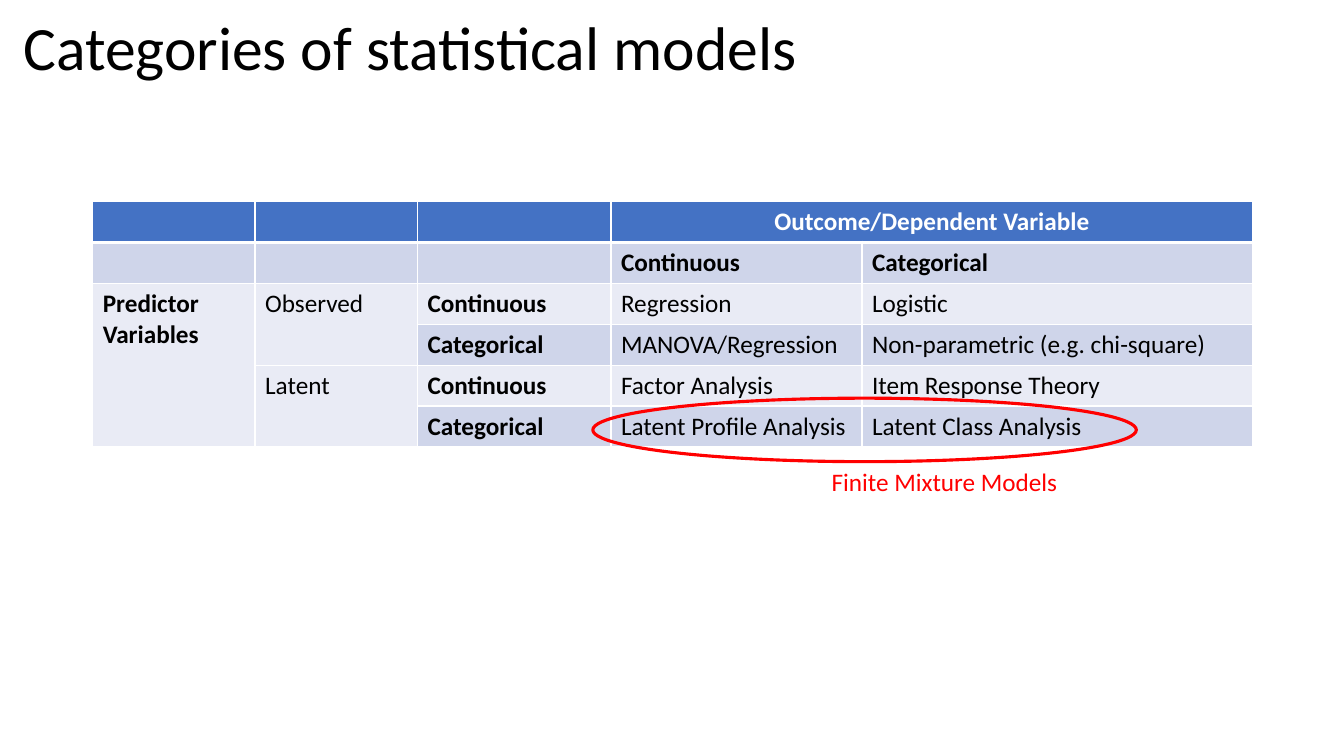
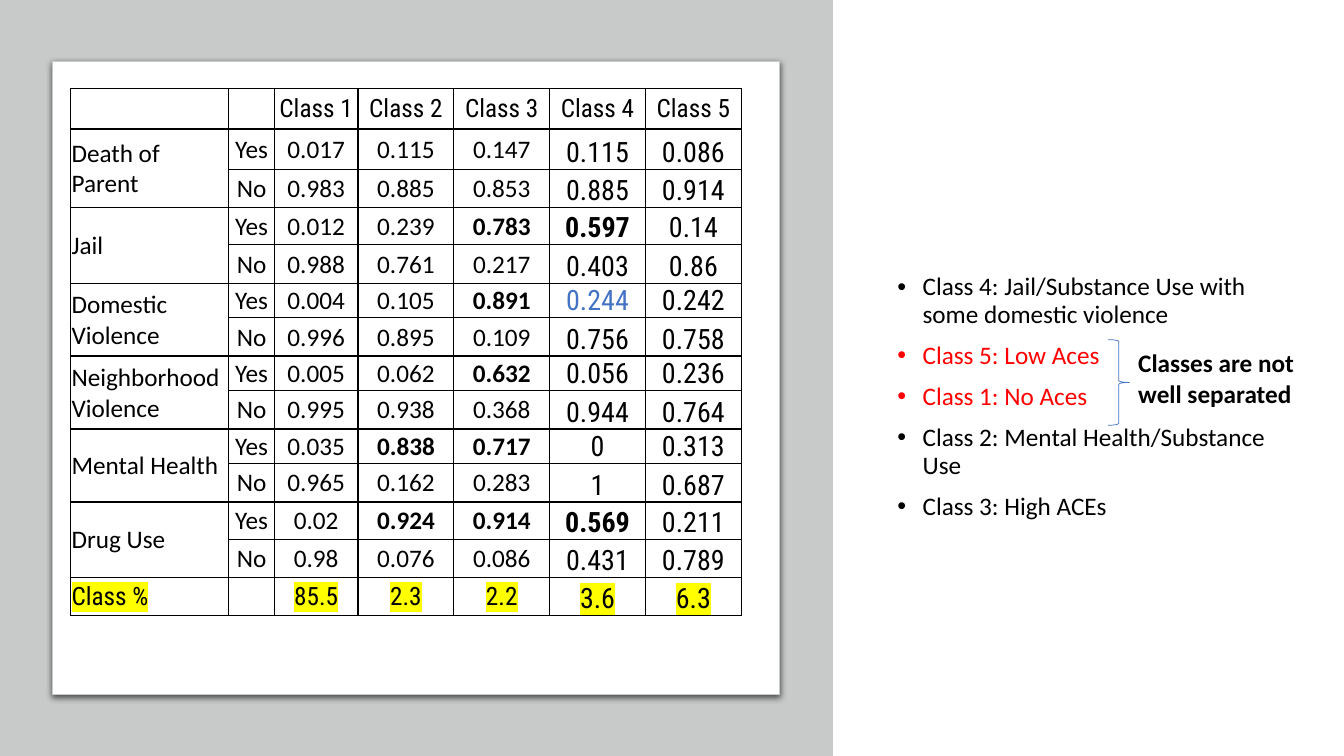
import pptx
import pptx.util
import pptx.dml.color
import pptx.enum.shapes
import pptx.enum.text
import pptx.oxml
import pptx.oxml.ns
from dataclasses import dataclass

Pt = pptx.util.Pt
Shape = pptx.enum.shapes.MSO_SHAPE
Align = pptx.enum.text.PP_ALIGN
Anchor = pptx.enum.text.MSO_ANCHOR
Fit = pptx.enum.text.MSO_AUTO_SIZE
WIDE, HIGH = pptx.util.Inches(13.33), pptx.util.Inches(7.5)
NS = pptx.oxml.ns.nsdecls("a")


@dataclass(frozen=True)
class Theme:
    font: str = "Calibri"
    slim: str = "Roboto Condensed"
    head: int = 44
    text: int = 18
    large: int = 20
    black: str = "000000"
    white: str = "FFFFFF"
    red: str = "FF0000"
    blue: str = "4472C4"
    dark: str = "CFD5EA"
    light: str = "E9EBF5"
    gray: str = "C8CACA"
    mark: str = "FFFF00"


T = Theme()

MODELS = [
    ["", "", "", "Outcome/Dependent Variable", ""],
    ["", "", "", "Continuous", "Categorical"],
    ["Predictor Variables", "Observed", "Continuous", "Regression", "Logistic"],
    ["", "", "Categorical", "MANOVA/Regression", "Non-parametric (e.g. chi-square)"],
    ["", "Latent", "Continuous", "Factor Analysis", "Item Response Theory"],
    ["", "", "Categorical", "Latent Profile Analysis", "Latent Class Analysis"],
]
RATES = {
    "Death of Parent": ("0.017 0.115 0.147 0.115 0.086", "0.983 0.885 0.853 0.885 0.914"),
    "Jail": ("0.012 0.239 0.783 0.597 0.14", "0.988 0.761 0.217 0.403 0.86"),
    "Domestic Violence": ("0.004 0.105 0.891 0.244 0.242", "0.996 0.895 0.109 0.756 0.758"),
    "Neighborhood Violence": ("0.005 0.062 0.632 0.056 0.236", "0.995 0.938 0.368 0.944 0.764"),
    "Mental Health": ("0.035 0.838 0.717 0 0.313", "0.965 0.162 0.283 1 0.687"),
    "Drug Use": ("0.02 0.924 0.914 0.569 0.211", "0.98 0.076 0.086 0.431 0.789"),
}
SHARES = "85.5 2.3 2.2 3.6 6.3"
CLASSES = [
    ("Class 4: Jail/Substance Use with some domestic violence", T.black),
    ("Class 5: Low Aces", T.red),
    ("Class 1: No Aces", T.red),
    ("Class 2: Mental Health/Substance Use", T.black),
    ("Class 3: High ACEs", T.black),
]


def across(share):
    return int(WIDE * share / 100)


def down(share):
    return int(HIGH * share / 100)


def box(left, top, width, height):
    """Turn percent shares of the slide into lengths."""
    return across(left), down(top), across(width), down(height)


def rgb(color):
    return pptx.dml.color.RGBColor.from_string(color)


def put(item, **values):
    for name, value in values.items():
        setattr(item, name, value)


def place(item, *area):
    put(item, **dict(zip(("left", "top", "width", "height"), box(*area))))


def write(para, text, size=T.text, color=T.black, font=T.font, bold=False, mark=None):
    run = para.add_run()
    run.text = text
    run.font.color.rgb = rgb(color)
    put(run.font, size=Pt(size), name=font, bold=bold)
    if mark:
        props = run._r.get_or_add_rPr()
        glow = pptx.oxml.parse_xml(
            f'<a:highlight {NS}><a:srgbClr val="{mark}"/></a:highlight>')
        props.find(pptx.oxml.ns.qn("a:latin")).addprevious(glow)


def label(slide, area, text, wrap, **style):
    frame = slide.shapes.add_textbox(*box(*area)).text_frame
    put(frame, word_wrap=wrap, auto_size=Fit.SHAPE_TO_FIT_TEXT)
    write(frame.paragraphs[0], text, **style)


def draw(slide, kind, area, fill=None, line=None, width=1):
    shape = slide.shapes.add_shape(kind, *box(*area))
    shape.shadow.inherit = False
    if fill:
        shape.fill.solid()
        shape.fill.fore_color.rgb = rgb(fill)
    else:
        shape.fill.background()
    if line:
        shape.line.color.rgb = rgb(line)
        shape.line.width = Pt(width)
    else:
        shape.line.fill.background()
    return shape


def shade(shape):
    """Give the shape a soft shadow below it."""
    effect = shape._element.spPr.find(pptx.oxml.ns.qn("a:effectLst"))
    effect.append(pptx.oxml.parse_xml(
        f'<a:outerShdw {NS} blurRad="{Pt(4.5)}" dist="{Pt(1.5)}" dir="5400000" '
        f'algn="t" rotWithShape="0"><a:srgbClr val="{T.black}">'
        f'<a:alpha val="63000"/></a:srgbClr></a:outerShdw>'))


def grid(slide, left, top, cols, rows):
    """Add a plain table with column and row sizes in percent of the slide."""
    area = box(left, top, sum(cols), sum(rows))
    table = slide.shapes.add_table(len(rows), len(cols), *area).table
    put(table, first_row=False, horz_banding=False)
    for col, share in zip(table.columns, cols):
        col.width = across(share)
    for row, share in zip(table.rows, rows):
        row.height = down(share)
    return table


def finish(cell, fill, line, base=1):
    """Set the borders of a cell, then its fill; base is the bottom border."""
    props = cell._tc.get_or_add_tcPr()
    for side, width in zip("LRTB", (1, 1, 1, base)):
        props.append(pptx.oxml.parse_xml(
            f'<a:ln{side} {NS} w="{Pt(width)}"><a:solidFill>'
            f'<a:srgbClr val="{line}"/></a:solidFill></a:ln{side}>'))
    cell.fill.solid()
    cell.fill.fore_color.rgb = rgb(fill)


def merge(table, *spans):
    for row, col, last, end in spans:
        table.cell(row, col).merge(table.cell(last, end))


def models(deck):
    slide = deck.slides.add_slide(deck.slide_layouts[5])
    title = slide.shapes.title
    place(title, 0.98, 1.6, 86.27, 10.27)
    put(title.text_frame, vertical_anchor=Anchor.MIDDLE, auto_size=Fit.NONE)
    para = title.text_frame.paragraphs[0]
    put(para, alignment=Align.LEFT, line_spacing=0.9)
    write(para, "Categories of statistical models", size=T.head)

    table = grid(slide, 6.9, 26.67, [12.08, 12.08, 14.4, 18.68, 29.1], [5.4] * len(MODELS))
    for r, row in enumerate(MODELS):
        fill = T.blue if r == 0 else (T.light, T.dark)[r % 2]
        for c, text in enumerate(row):
            cell = table.cell(r, c)
            finish(cell, fill, T.white, base=1 if r else 3)
            if text:
                para = cell.text_frame.paragraphs[0]
                para.alignment = Align.LEFT if r else Align.CENTER
                write(para, text, color=T.black if r else T.white,
                      bold=r < 2 or c in (0, 2))
    merge(table, (0, 3, 0, 4), (2, 0, 5, 0), (2, 1, 3, 1), (4, 1, 5, 1))

    draw(slide, Shape.OVAL, (44.11, 52.67, 40.44, 8.4), line=T.red, width=2.25)
    label(slide, (61.14, 61.07, 18.53, 5.33), "Finite Mixture Models", False, color=T.red)


def look(r, c, row, last):
    """Choose the text style of one cell in the class table."""
    edge = r in (0, last)
    large = r > 0 and c > 4
    value = c > 1 and row[1] == "Yes"
    return dict(
        size=T.large if large else T.text,
        font=T.slim if edge or large else T.font,
        bold=value and float(row[c]) > 0.5,
        color=T.blue if value and row[c] == "0.244" else T.black,
        mark=T.mark if r == last else None)


def rates(slide):
    rows = [["", ""] + [f"Class {n}" for n in range(1, 6)]]
    for name, (yes, no) in RATES.items():
        rows += [[name, "Yes", *yes.split()], ["", "No", *no.split()]]
    rows.append(["Class %", "", *SHARES.split()])
    last = len(rows) - 1

    tight = [4.53, 5.07]
    loose = [4.93, 5.07]
    high = [5.33, 5.33, 5.07] + loose + tight * 3 + loose + [5.07]
    table = grid(slide, 5.25, 11.73, [11.78, 3.38, 6.23] + [7.13] * 4, high)
    for r, row in enumerate(rows):
        for c, text in enumerate(row):
            cell = table.cell(r, c)
            finish(cell, T.white, T.black)
            edge = pptx.util.Inches(0.01)
            put(cell, margin_left=edge, margin_top=edge, margin_right=edge, margin_bottom=0,
                vertical_anchor=Anchor.BOTTOM if r and c > 4 else Anchor.MIDDLE)
            if text:
                para = cell.text_frame.paragraphs[0]
                para.alignment = Align.CENTER if c else Align.LEFT
                write(para, text, **look(r, c, row, last))
    merge(table, *((r, 0, r + 1, 0) for r in range(1, last, 2)))


def points(body):
    place(body, 66.02, 35.6, 30.08, 55.07)
    frame = body.text_frame
    frame.auto_size = Fit.NONE
    for n, (text, color) in enumerate(CLASSES):
        para = frame.add_paragraph() if n else frame.paragraphs[0]
        put(para, line_spacing=0.9, space_before=Pt(10 if n else 0))
        props = para._p.get_or_add_pPr()
        indent = pptx.util.Inches(0.25)
        props.set("marL", str(indent))
        props.set("indent", str(-indent))
        for mark in ('buFont typeface="Arial"', 'buChar char="•"'):
            props.append(pptx.oxml.parse_xml(f"<a:{mark} {NS}/>"))
        write(para, text, color=color)


def classes(deck):
    slide = deck.slides.add_slide(deck.slide_layouts[1])
    title = slide.shapes.title.element
    title.getparent().remove(title)
    draw(slide, Shape.RECTANGLE, (0, 0, 61.97, 100), fill=T.gray)
    shade(draw(slide, Shape.RECTANGLE, (3.9, 8.13, 54.09, 83.73),
               fill=T.white, line=T.gray, width=0.75))
    points(slide.placeholders[1])
    draw(slide, Shape.RIGHT_BRACE, (82.45, 44.93, 1.58, 11.33), line=T.blue, width=0.5)
    label(slide, (83.95, 45.33, 13.43, 9.47), "Classes are not well separated", True, bold=True)
    rates(slide)


def main():
    deck = pptx.Presentation()
    put(deck, slide_width=WIDE, slide_height=HIGH)
    models(deck)
    classes(deck)
    deck.save("out.pptx")


if __name__ == "__main__":
    main()
